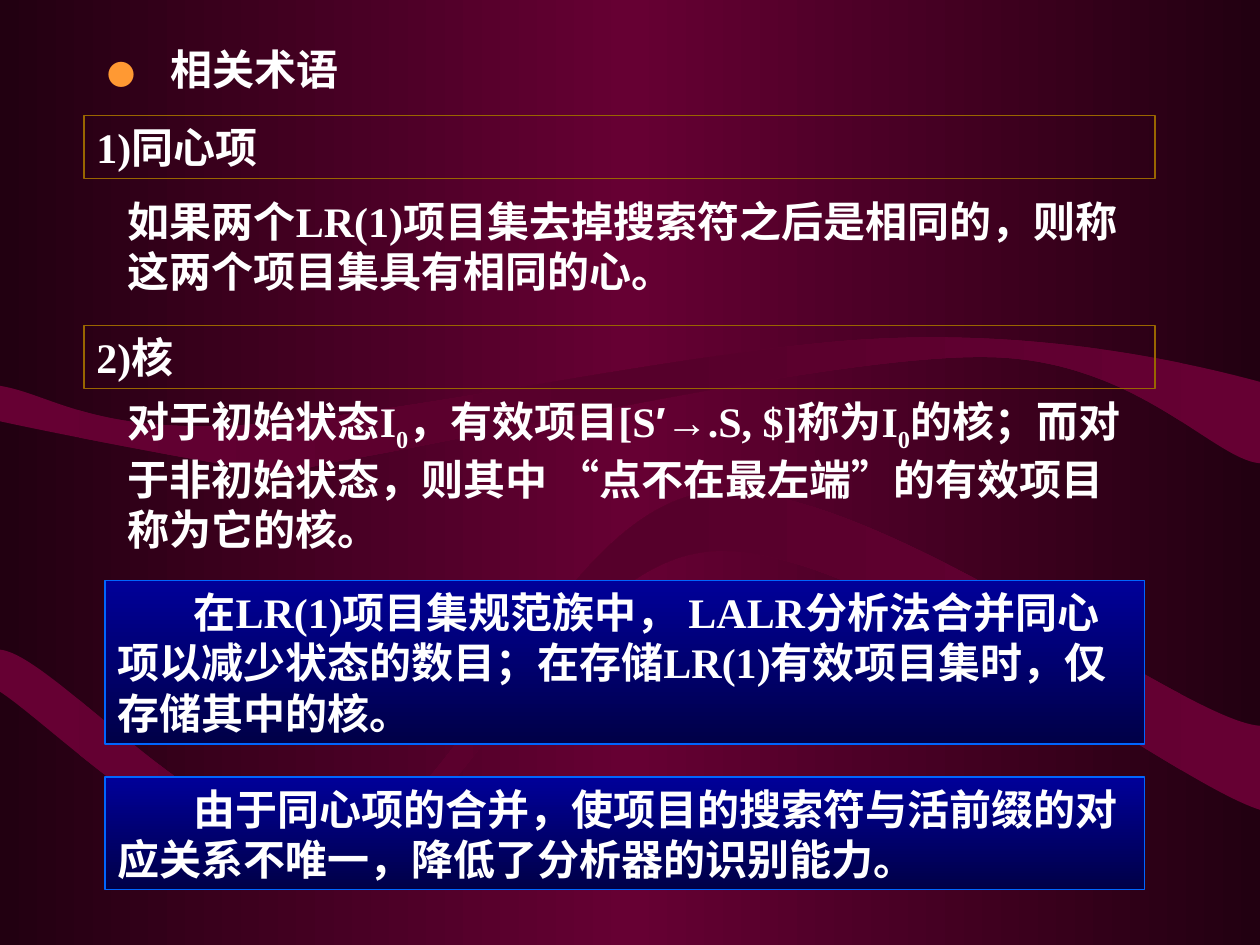
from copy import deepcopy

from pptx import Presentation
from pptx.dml.color import RGBColor
from pptx.enum.shapes import MSO_SHAPE
from pptx.enum.text import MSO_ANCHOR, MSO_AUTO_SIZE, PP_ALIGN
from pptx.oxml import parse_xml
from pptx.oxml.ns import nsdecls, qn
from pptx.util import Pt

PX = 9525  # 96 px to the inch
RECTANGLE = MSO_SHAPE.RECTANGLE
LEFT = PP_ALIGN.LEFT
TOP, MIDDLE = MSO_ANCHOR.TOP, MSO_ANCHOR.MIDDLE
FIXED, GROW = MSO_AUTO_SIZE.NONE, MSO_AUTO_SIZE.SHAPE_TO_FIT_TEXT

WHITE = RGBColor(0xFF, 0xFF, 0xFF)
ORANGE = RGBColor(0xFF, 0x99, 0x33)
DARK_WINE = RGBColor(0x22, 0x00, 0x11)
WINE = RGBColor(0x66, 0x00, 0x33)
MID_WINE = RGBColor(0x56, 0x00, 0x2B)
BROWN = RGBColor(0x99, 0x66, 0x00)
BLUE = RGBColor(0x00, 0x00, 0x99)
NAVY = RGBColor(0x00, 0x00, 0x47)
BRIGHT_BLUE = RGBColor(0x00, 0x66, 0xFF)

SERIF, SANS = "Times New Roman", "Arial"


def fill_gradient(fill, element, colors, angle=0):
    """Spread two or three colours evenly over the fill that element holds."""
    fill.gradient()
    fill.gradient_angle = angle
    stop_list = next(element.iter(qn("a:gsLst")))
    for _ in colors[2:]:
        stop_list.append(deepcopy(stop_list[-1]))
    for i, (stop, color) in enumerate(zip(fill.gradient_stops, colors)):
        stop.position = i / (len(colors) - 1)
        stop.color.rgb = color


def write(shape, *parts, anchor=TOP, fit=GROW, indent=0, size=24, color=WHITE):
    """Add to the first paragraph; each part is a text or (text, font, baseline)."""
    frame = shape.text_frame
    frame.word_wrap = True
    frame.auto_size = fit
    frame.vertical_anchor = anchor
    paragraph = frame.paragraphs[0]
    paragraph.alignment = LEFT
    paragraph._p.get_or_add_pPr().set("indent", str(indent * PX))
    for part in parts:
        text, face, baseline = (part, SERIF, 0) if isinstance(part, str) else part
        run = paragraph.add_run()
        run.text = text
        run.font.name = face
        run.font.size = Pt(size)
        run.font.bold = True
        run.font.color.rgb = color
        if baseline:
            run._r.get_or_add_rPr().set("baseline", str(baseline * 1000))
    return paragraph


prs = Presentation()
prs.slide_width, prs.slide_height = 960 * PX, 720 * PX
slide = prs.slides.add_slide(prs.slide_layouts[5])
fill_gradient(slide.background.fill, slide.element, [DARK_WINE, WINE, DARK_WINE])

# Each wave: lower edge to the right, then upper edge back, as Bézier points
waves = [
    ([(0, 321), (36, 329), (168, 355), (213, 360), (258, 365), (182, 364), (271, 349),
      (360, 334), (634, 271), (749, 272), (864, 272), (924, 350), (960, 353)],
     [(960, 291), (912, 278), (803, 252), (673, 258), (543, 263), (295, 319), (182, 324),
      (70, 330), (38, 300), (0, 294)]),
    ([(0, 527), (43, 555), (167, 683), (258, 664), (348, 647), (425, 428), (542, 420),
      (660, 412), (890, 595), (960, 617)],
     [(960, 553), (900, 549), (663, 362), (540, 375), (423, 390), (352, 620), (262, 640),
      (172, 660), (43, 499), (0, 495)]),
]
for lower, upper in waves:
    builder = slide.shapes.build_freeform(*lower[0], scale=PX)
    builder.add_line_segments(lower[1:] + upper, close=True)
    wave = builder.convert_to_shape()
    lines = list(wave.element.iter(qn("a:lnTo")))
    for edge in (lines[:len(lower) - 1], lines[len(lower):]):
        for start in range(0, len(edge), 3):
            curve = parse_xml(f'<a:cubicBezTo {nsdecls("a")}/>')
            edge[start].addprevious(curve)
            for line in edge[start:start + 3]:
                curve.append(line[0])
                line.getparent().remove(line)
    wave.shadow.inherit = False
    wave.line.fill.background()
    fill_gradient(wave.fill, wave.element, [WINE, MID_WINE, WINE])

title = slide.shapes.title
title.left, title.top, title.width, title.height = (n * PX for n in (72, 24, 816, 56))
heading = title.text_frame.paragraphs[0]
heading._p.get_or_add_pPr().append(parse_xml(
    f'<a:tabLst {nsdecls("a")}><a:tab pos="{36 * PX}" algn="l"/></a:tabLst>'))
write(title, "●\t", anchor=MIDDLE, fit=FIXED, size=16, color=ORANGE)
write(title, "相关术语", anchor=MIDDLE, fit=FIXED)

for top, term in ((88, "1)同心项"), (248, "2)核")):
    term_box = slide.shapes.add_shape(RECTANGLE, 64 * PX, top * PX, 816 * PX, 48 * PX)
    term_box.shadow.inherit = False
    term_box.fill.background()
    term_box.line.color.rgb = BROWN
    term_box.line.width = Pt(0.75)
    write(term_box, term)

definitions = [
    (144, 800, 86, ["如果两个LR(1)项目集去掉搜索符之后是相同的，则称这两个项目集具有相同的心。"]),
    (297, 792, 131, [
        "对于初始状态I", ("0", SERIF, -25), "，有效项目[S", ("′→", SANS, 0),
        ".S, $]称为I", ("0", SERIF, -25),
        "的核；而对于非初始状态，则其中 “点不在最左端”的有效项目称为它的核。"]),
]
for top, width, height, parts in definitions:
    definition = slide.shapes.add_textbox(88 * PX, top * PX, width * PX, height * PX)
    write(definition, *parts)

remarks = [
    (442, 125, "在LR(1)项目集规范族中， LALR分析法合并同心项以减少状态的数目；"
               "在存储LR(1)有效项目集时，仅存储其中的核。"),
    (592, 86, "由于同心项的合并，使项目的搜索符与活前缀的对应关系不唯一，降低了分析器的识别能力。"),
]
for top, height, text in remarks:
    remark = slide.shapes.add_shape(RECTANGLE, 80 * PX, top * PX, 792 * PX, height * PX)
    remark.shadow.inherit = False
    fill_gradient(remark.fill, remark.element, [BLUE, NAVY], angle=270)
    remark.line.color.rgb = BRIGHT_BLUE
    remark.line.width = Pt(0.75)
    write(remark, text, indent=58)

prs.save("out.pptx")
